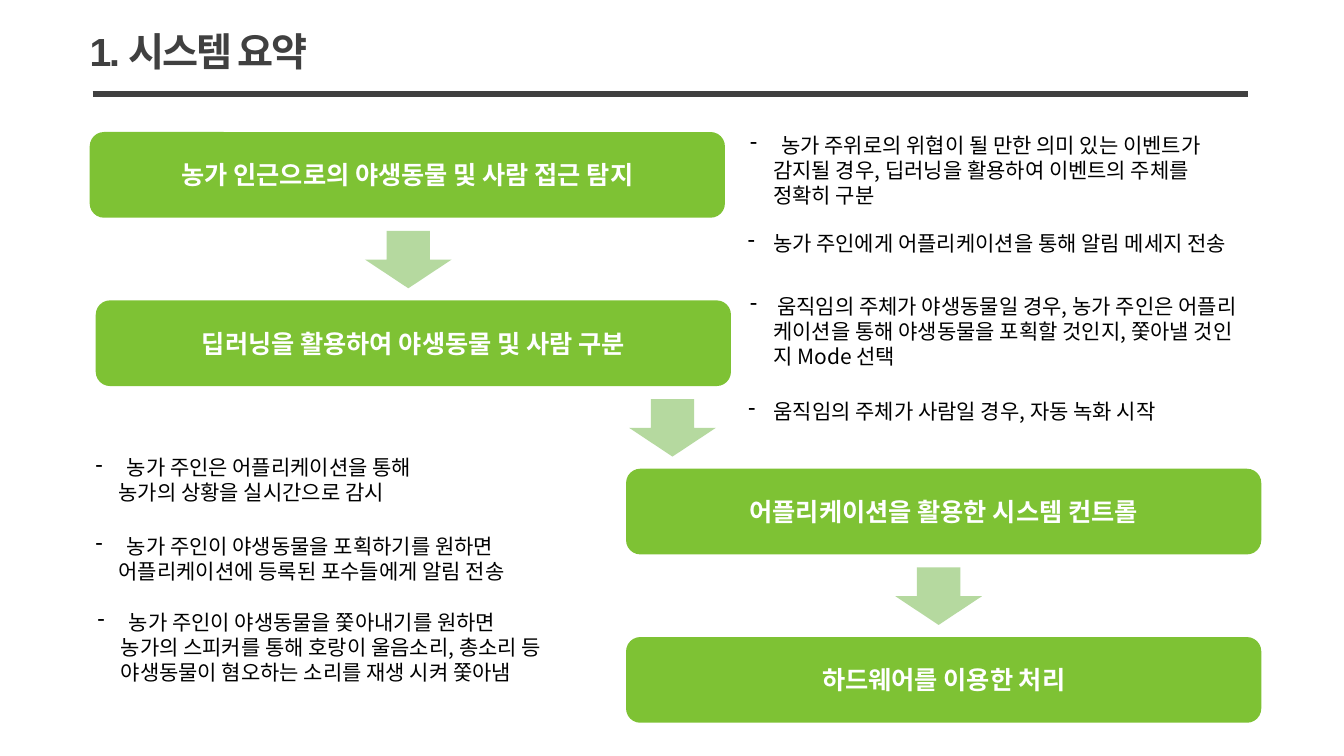
from dataclasses import dataclass

from lxml import etree
from pptx import Presentation
from pptx.dml.color import RGBColor
from pptx.enum import shapes, text
from pptx.oxml import ns
from pptx.util import Inches, Pt


@dataclass(frozen=True)
class Theme:
    step: RGBColor = RGBColor(0x7E, 0xC2, 0x34)
    arrow: RGBColor = RGBColor(0xB5, 0xD9, 0x9F)
    heading: RGBColor = RGBColor(0x40, 0x40, 0x40)
    white: RGBColor = RGBColor(0xFF, 0xFF, 0xFF)
    black: RGBColor = RGBColor(0, 0, 0)
    korean: str = "Noto Sans CJK KR"
    latin: str = "Arial"
    title_size: int = 28
    step_size: int = 18
    note_size: int = 15


THEME = Theme()
STEP_SIZE = (6.3, 0.85)
ARROW_SIZE = (0.86, 0.57)
STEP_TOP, STEP_PITCH = 1.31, 1.67
ARROW_TOP = 2.29
STEPS = [
    (0.89, "농가 인근으로의 야생동물 및 사람 접근 탐지"),
    (0.95, "딥러닝을 활용하여 야생동물 및 사람 구분"),
    (6.21, "어플리케이션을 활용한 시스템 컨트롤"),
    (6.21, "하드웨어를 이용한 처리"),
]
ARROW_LEFTS = [3.62, 6.24, 8.88]

# Each note: left, top, width, height, hanging indent, lines
NOTES = [
    (7.29, 1.16, 5.8, 1.05, 0.31, [
        "농가 주위로의 위협이 될 만한 의미 있는 이벤트가",
        "감지될 경우, 딥러닝을 활용하여 이벤트의 주체를",
        "정확히 구분"]),
    (7.29, 2.11, 5.59, 0.6, 0.25, [
        "농가 주인에게 어플리케이션을 통해 알림 메세지 전송"]),
    (7.29, 2.76, 5.7, 1.05, 0.27, [
        "움직임의 주체가 야생동물일 경우, 농가 주인은 어플리",
        "케이션을 통해 야생동물을 포획할 것인지, 쫓아낼 것인",
        "지 Mode 선택"]),
    (7.29, 3.71, 5.17, 0.73, 0.25, [
        "움직임의 주체가 사람일 경우, 자동 녹화 시작"]),
    (0.82, 4.46, 5.14, 0.6, 0.31, [
        "농가 주인은 어플리케이션을 통해",
        "농가의 상황을 실시간으로 감시"]),
    (0.82, 5.24, 5.14, 0.6, 0.31, [
        "농가 주인이 야생동물을 포획하기를 원하면",
        "어플리케이션에 등록된 포수들에게 알림 전송"]),
    (0.82, 5.91, 5.37, 1.02, 0.31, [
        "농가 주인이 야생동물을 쫓아내기를 원하면",
        "농가의 스피커를 통해 호랑이 울음소리, 총소리 등",
        "야생동물이 혐오하는 소리를 재생 시켜 쫓아냄"]),
]
CONTINUATION_INDENT = 0.23


def style_text(para, size, color, bold=False, latin=THEME.korean):
    for span in para.runs:
        font = span.font
        font.size, font.bold, font.name = Pt(size), bold, latin
        font.color.rgb = color
        east_asian = etree.SubElement(font._element, ns.qn("a:ea"))
        east_asian.set("typeface", THEME.korean)


def add_block(page, kind, left, top, size, fill=None):
    """Add a preset shape without outline or shadow, unfilled by default."""
    block = page.shapes.add_shape(
        kind, Inches(left), Inches(top), Inches(size[0]), Inches(size[1]))
    block.shadow.inherit = False
    block.line.fill.background()
    if fill is None:
        block.fill.background()
    else:
        block.fill.solid()
        block.fill.fore_color.rgb = fill
    return block


def add_step(page, left, top, label):
    box = add_block(page, shapes.MSO_SHAPE.ROUNDED_RECTANGLE, left, top,
                    STEP_SIZE, THEME.step)
    frame = box.text_frame
    frame.text = label
    frame.vertical_anchor = text.MSO_ANCHOR.MIDDLE
    para = frame.paragraphs[0]
    para.alignment = text.PP_ALIGN.CENTER
    style_text(para, THEME.step_size, THEME.white, bold=True)


def set_indent(para, margin, dash=False):
    properties = para._p.get_or_add_pPr()
    properties.set("marL", str(Inches(margin)))
    if dash:
        properties.set("indent", str(-Inches(margin)))
        etree.SubElement(properties, ns.qn("a:buChar")).set("char", "-")


def add_note(page, left, top, width, height, hanging, lines):
    box = add_block(page, shapes.MSO_SHAPE.ROUNDED_RECTANGLE, left, top,
                    (width, height))
    frame = box.text_frame
    frame.text = "\n".join(lines)
    frame.vertical_anchor = text.MSO_ANCHOR.MIDDLE
    for index, para in enumerate(frame.paragraphs):
        para.alignment = text.PP_ALIGN.LEFT
        first = index == 0
        set_indent(para, hanging if first else CONTINUATION_INDENT, dash=first)
        style_text(para, THEME.note_size, THEME.black)


def add_title(page, title):
    box = page.shapes.add_textbox(
        Inches(0.79), Inches(0.22), Inches(3.04), Inches(0.57))
    frame = box.text_frame
    frame.word_wrap = True
    frame.text = title
    para = frame.paragraphs[0]
    style_text(para, THEME.title_size, THEME.heading, True, THEME.latin)
    para.runs[0].font._element.set("spc", "-150")


def add_rule(page):
    rule = page.shapes.add_connector(
        shapes.MSO_CONNECTOR.STRAIGHT,
        Inches(0.92), Inches(0.93), Inches(12.38), Inches(0.93))
    rule.line.color.rgb = THEME.heading
    rule.line.width = Pt(4.5)
    etree.SubElement(rule._element.spPr, ns.qn("a:effectLst"))


def main():
    deck = Presentation()
    deck.slide_width, deck.slide_height = Inches(13.33), Inches(7.5)
    page = deck.slides.add_slide(deck.slide_layouts[6])
    add_title(page, "1. 시스템 요약")
    add_rule(page)
    for row, (left, label) in enumerate(STEPS):
        add_step(page, left, STEP_TOP + row * STEP_PITCH, label)
    for row, left in enumerate(ARROW_LEFTS):
        add_block(page, shapes.MSO_SHAPE.DOWN_ARROW, left,
                  ARROW_TOP + row * STEP_PITCH, ARROW_SIZE, THEME.arrow)
    for note in NOTES:
        add_note(page, *note)
    deck.save("out.pptx")


if __name__ == "__main__":
    main()
